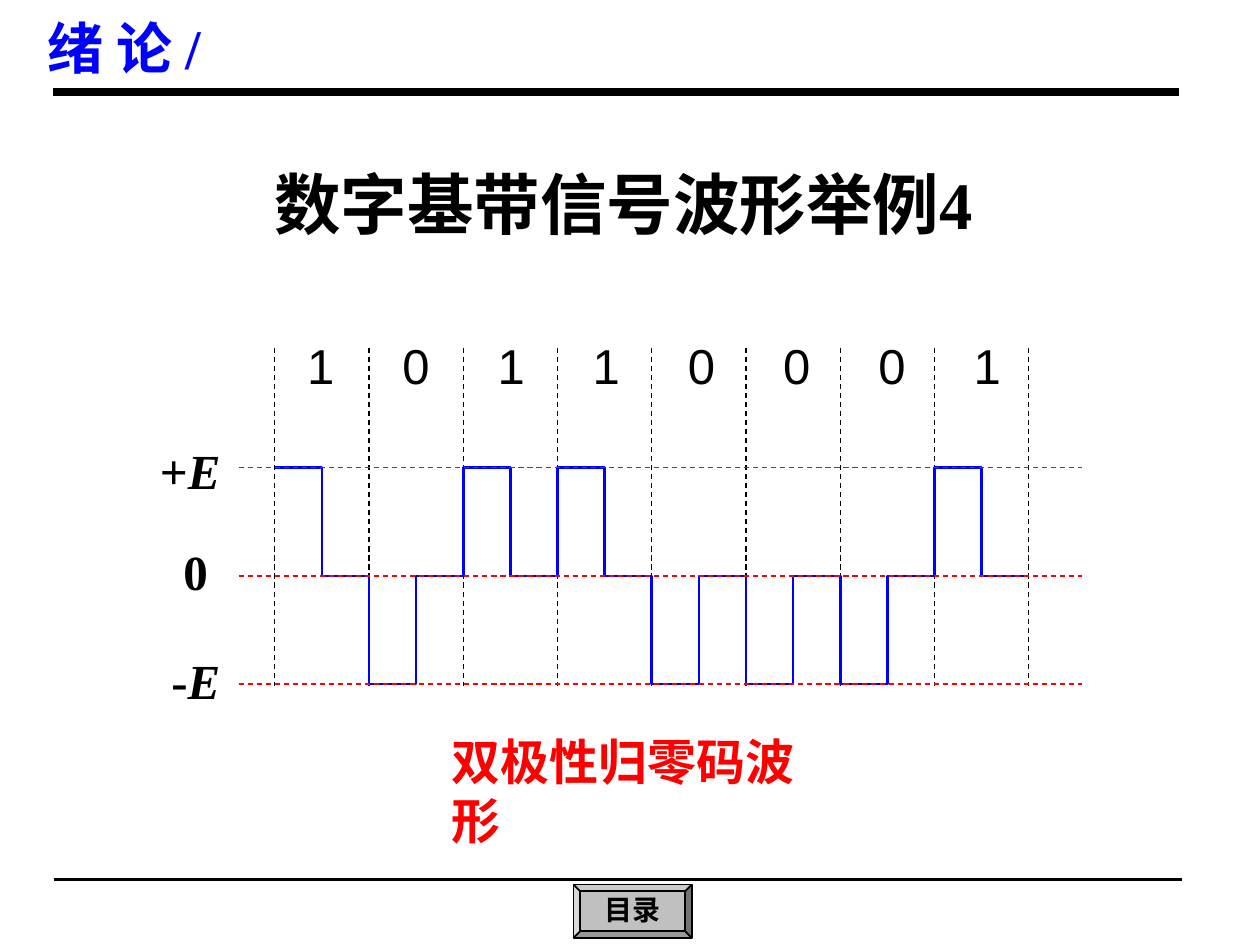
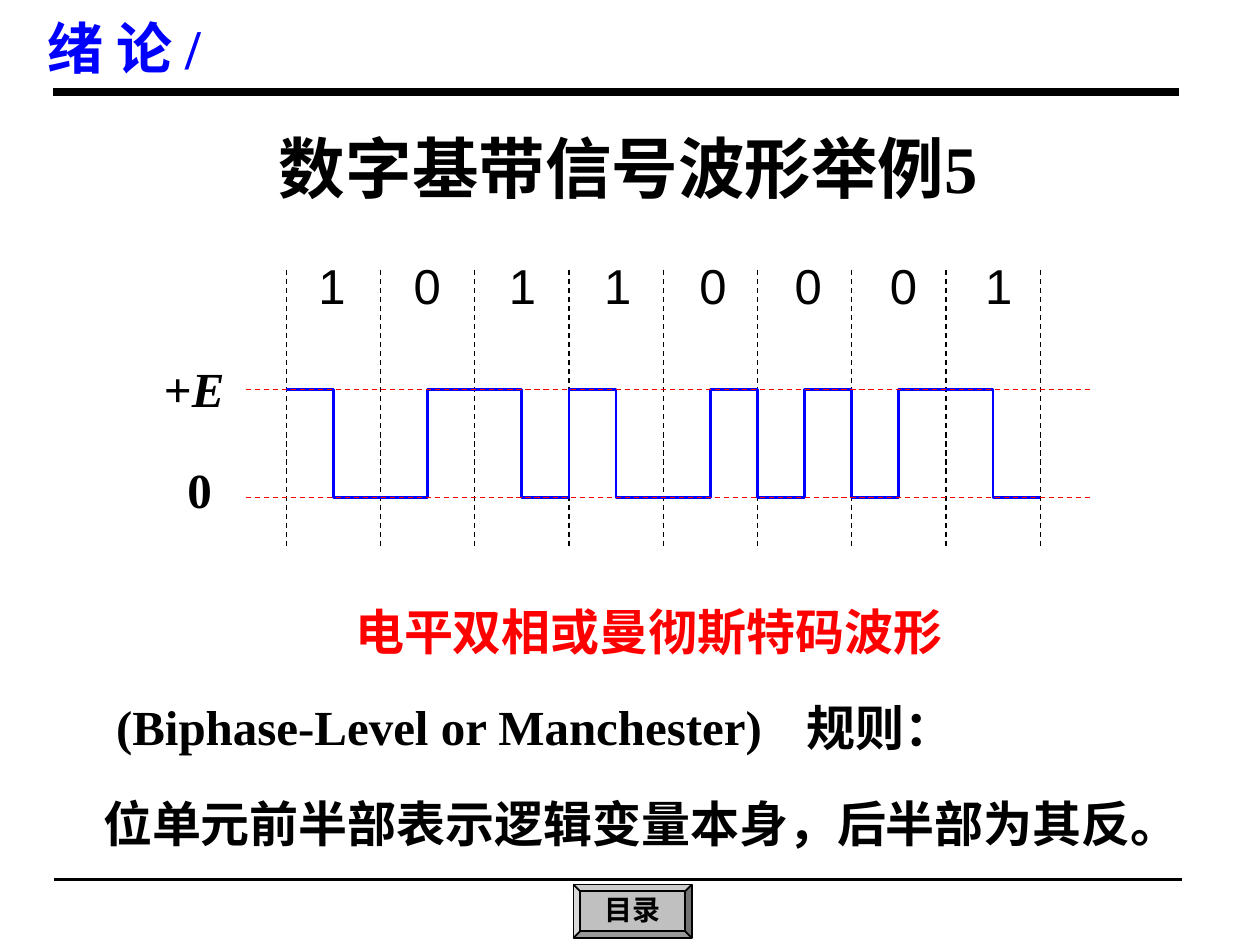
from dataclasses import dataclass

from lxml.etree import SubElement
from pptx import Presentation
from pptx.dml.color import RGBColor
from pptx.enum.dml import MSO_LINE
from pptx.enum.shapes import MSO_CONNECTOR, MSO_SHAPE
from pptx.enum.text import MSO_ANCHOR, MSO_AUTO_SIZE, PP_ALIGN
from pptx.oxml.ns import qn
from pptx.util import Cm, Pt


@dataclass(frozen=True)
class Theme:
    black: RGBColor = RGBColor(0x00, 0x00, 0x00)
    blue: RGBColor = RGBColor(0x00, 0x00, 0xFF)
    red: RGBColor = RGBColor(0xFF, 0x00, 0x00)
    grey: RGBColor = RGBColor(0xC0, 0xC0, 0xC0)
    serif: str = "Times New Roman"
    sans: str = "Arial"
    title: int = 38
    chapter: int = 32
    body: int = 28
    button: int = 16


THEME = Theme()
LEFT, CENTER = PP_ALIGN.LEFT, PP_ALIGN.CENTER
BIT_WIDTH = 1.9
DIGIT_STEP = 1.92
BITS = "10110001"


def write(frame, runs, size, color=THEME.black, font=THEME.serif,
          bold=True, align=LEFT, wrap=True, spacing=1.0):
    frame.word_wrap = wrap
    paragraph = frame.paragraphs[0]
    paragraph.alignment = align
    paragraph.line_spacing = spacing
    for text in runs:
        run = paragraph.add_run()
        run.text = text
        run.font.size = Pt(size)
        run.font.name = font
        run.font.bold = bold
        run.font.italic = text == "E"
        run.font.color.rgb = color
    return paragraph


def draw_line(slide, x1, y1, x2, y2, color, width, dash=None):
    line = slide.shapes.add_connector(
        MSO_CONNECTOR.STRAIGHT, Cm(x1), Cm(y1), Cm(x2), Cm(y2))
    line.line.color.rgb = color
    line.line.width = Pt(width)
    if dash:
        line.line.dash_style = dash
    SubElement(line.element.spPr, qn("a:effectLst"))
    return line


examples = [
    dict(
        title="数字基带信号波形举例4", title_at=(1.14, 3.15), digits_at=(5.94, 6.63),
        start=5.54, cell_span=(7.01, 13.82), level_span=(4.81, 21.82),
        levels={1: 9.42, 0: 11.61, -1: 13.79},
        code={"1": (1, 0), "0": (-1, 0)},
        labels=[
            (2.97, 8.76, 1.73, ["+", "E"], CENTER),
            (3.45, 10.8, 0.99, ["0"], CENTER),
            (3.2, 12.98, 1.5, ["-", "E"], CENTER),
        ],
        caption=(8.86, 14.63, 8.38, "双极性归零码波形"), rule_text=None,
    ),
    dict(
        title="数字基带信号波形举例5", title_at=(1.24, 2.44), digits_at=(6.17, 5.03),
        start=5.77, cell_span=(5.44, 11.05), level_span=(4.95, 21.97),
        levels={1: 7.85, 0: 10.03},
        code={"1": (1, 0), "0": (0, 1)},
        labels=[
            (3.05, 7.11, 1.73, ["+", "E"], CENTER),
            (3.53, 9.14, 0.99, ["0"], CENTER),
            (2.08, 13.92, 13.54, ["(Biphase-Level or Manchester)"], CENTER),
            (15.52, 13.94, 3.45, ["规则："], CENTER),
        ],
        caption=(6.91, 12.01, 12.34, "电平双相或曼彻斯特码波形"),
        rule_text="位单元前半部表示逻辑变量本身，后半部为其反。",
    ),
]

prs = Presentation()
prs.slide_width = Cm(25.4)
prs.slide_height = Cm(19.05)
layout = prs.slide_layouts[5]
slides = [prs.slides.add_slide(layout) for _ in examples]

first = slides[0]
footer_rule = draw_line(first, 1.09, 17.73, 23.83, 17.73, THEME.black, 2.25)
chapter = first.shapes.add_textbox(Cm(0.71), Cm(0.15), Cm(11.76), Cm(1.63))
write(chapter.text_frame, ["绪 论 /"], THEME.chapter, THEME.blue)
header_rule = draw_line(first, 1.07, 1.85, 23.77, 1.85, THEME.black, 4.5)
contents = first.shapes.add_shape(
    MSO_SHAPE.BEVEL, Cm(11.56), Cm(17.83), Cm(2.39), Cm(1.08))
contents.shadow.inherit = False
contents.fill.solid()
contents.fill.fore_color.rgb = THEME.grey
contents.line.color.rgb = THEME.black
contents.line.width = Pt(1)
frame = contents.text_frame
frame.margin_left = frame.margin_right = Cm(0.1)
frame.margin_top = frame.margin_bottom = Cm(0.1)
frame.vertical_anchor = MSO_ANCHOR.MIDDLE
write(frame, ["目录"], THEME.button, align=CENTER, spacing=0.9)
for shared in (footer_rule, chapter, header_rule, contents):
    layout.shapes.element.append(shared.element)

for slide, example in zip(slides, examples):
    title = slide.shapes.title
    title.left, title.top = (Cm(v) for v in example["title_at"])
    title.width, title.height = Cm(22.86), Cm(3.18)
    title.text_frame.auto_size = MSO_AUTO_SIZE.NONE
    title.text_frame.vertical_anchor = MSO_ANCHOR.TOP
    write(title.text_frame, [example["title"]], THEME.title, align=CENTER)

    x, y = example["digits_at"]
    digits = slide.shapes.add_textbox(Cm(x), Cm(y), Cm(16.2), Cm(1.45))
    paragraph = write(digits.text_frame, ["\t".join(BITS)], THEME.body,
                      font=THEME.sans, bold=False)
    tabs = SubElement(paragraph._p.get_or_add_pPr(), qn("a:tabLst"))
    for i in range(1, len(BITS)):
        SubElement(tabs, qn("a:tab"), pos=str(Cm(i * DIGIT_STEP)), algn="l")

    start, levels = example["start"], example["levels"]
    top, bottom = example["cell_span"]
    for i in range(len(BITS) + 1):
        edge = start + i * BIT_WIDTH
        draw_line(slide, edge, top, edge, bottom, THEME.black, 0.75, MSO_LINE.DASH)

    halves = [level for bit in BITS for level in example["code"][bit]]
    points = []
    for i, level in enumerate(halves):
        for step in (i, i + 1):
            points.append((Cm(start + step * BIT_WIDTH / 2), Cm(levels[level])))
    builder = slide.shapes.build_freeform(*points[0])
    builder.add_line_segments(points[1:], close=False)
    wave = builder.convert_to_shape()
    wave.shadow.inherit = False
    wave.fill.background()
    wave.line.color.rgb = THEME.blue
    wave.line.width = Pt(1.5)

    left, right = example["level_span"]
    for height in levels.values():
        draw_line(slide, left, height, right, height, THEME.red, 0.75, MSO_LINE.DASH)

    for x, y, width, runs, align in example["labels"]:
        label = slide.shapes.add_textbox(Cm(x), Cm(y), Cm(width), Cm(1.45))
        write(label.text_frame, runs, THEME.body, align=align, wrap=False)

    x, y, width, text = example["caption"]
    caption = slide.shapes.add_textbox(Cm(x), Cm(y), Cm(width), Cm(1.45))
    write(caption.text_frame, [text], THEME.body, THEME.red, THEME.sans, wrap=False)

    if example["rule_text"]:
        coding_rule = slide.shapes.add_textbox(Cm(1.83), Cm(15.39), Cm(22.58), Cm(1.93))
        write(coding_rule.text_frame, [example["rule_text"]], THEME.body, spacing=1.4)

prs.save("out.pptx")
